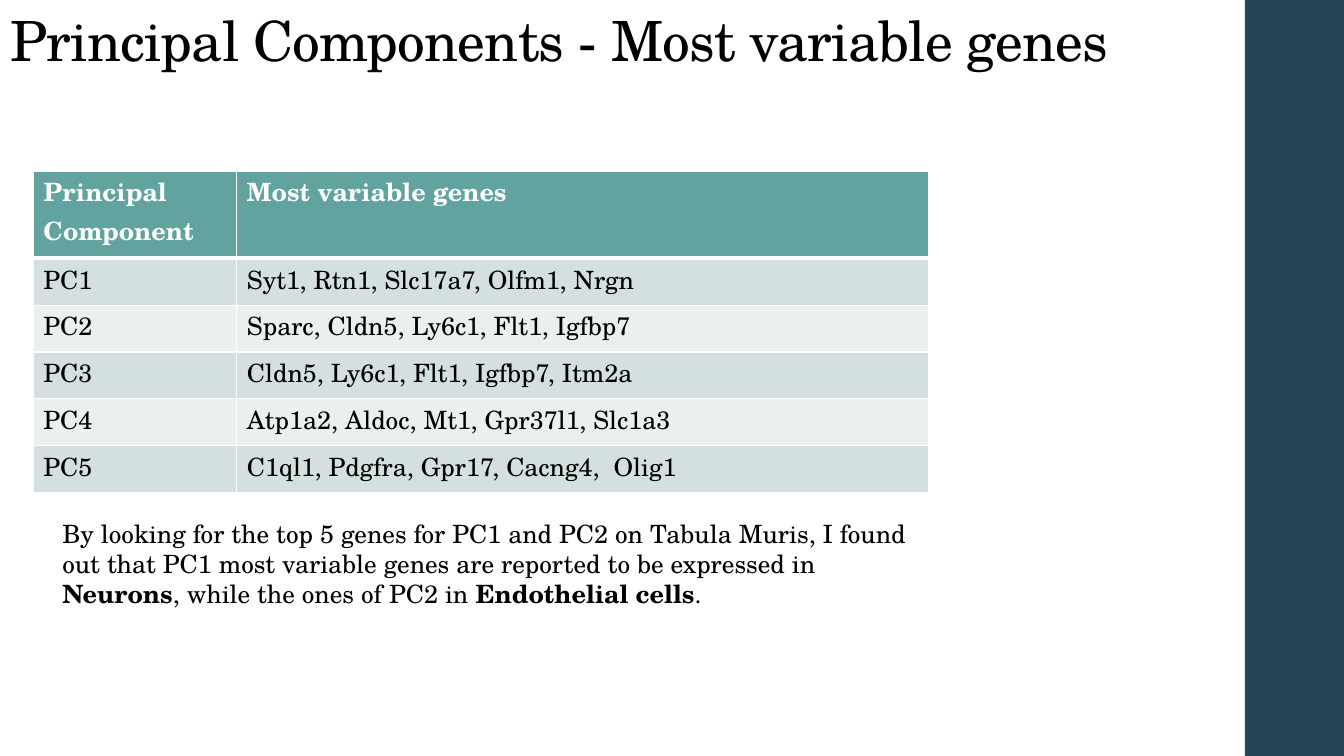
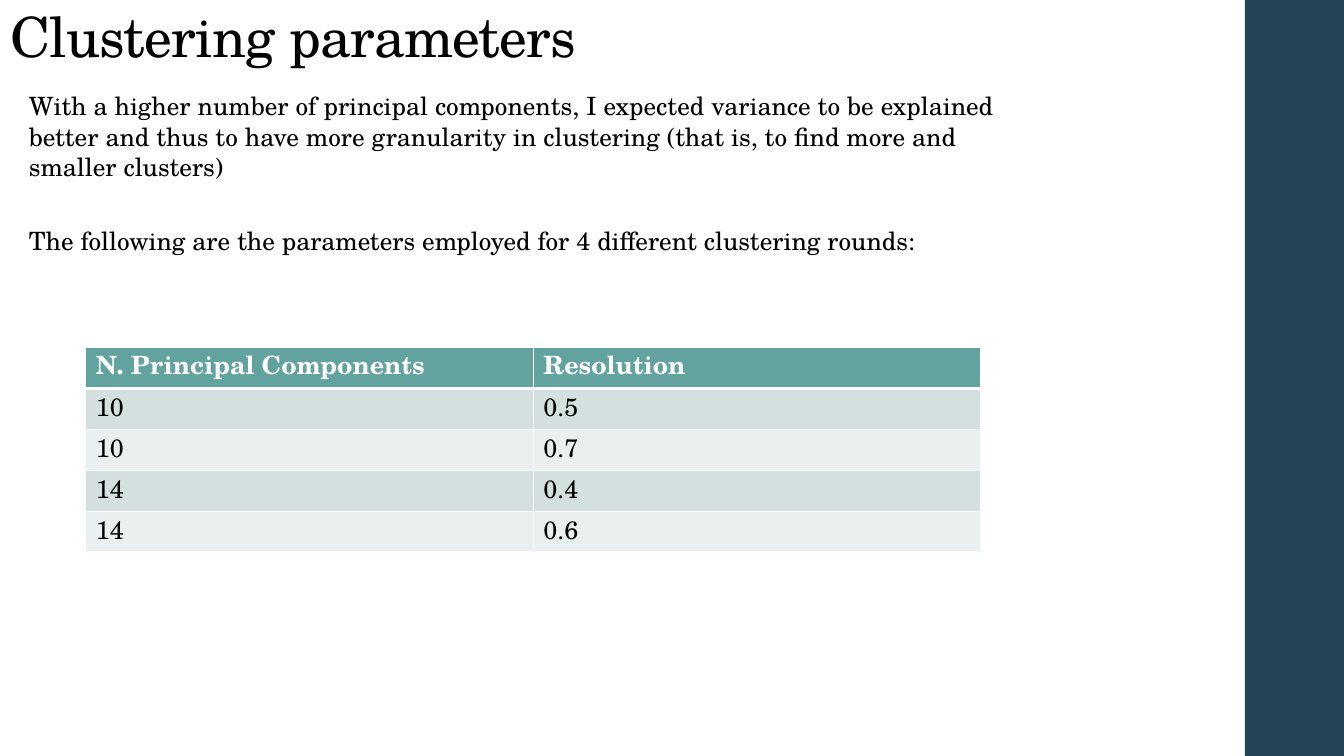
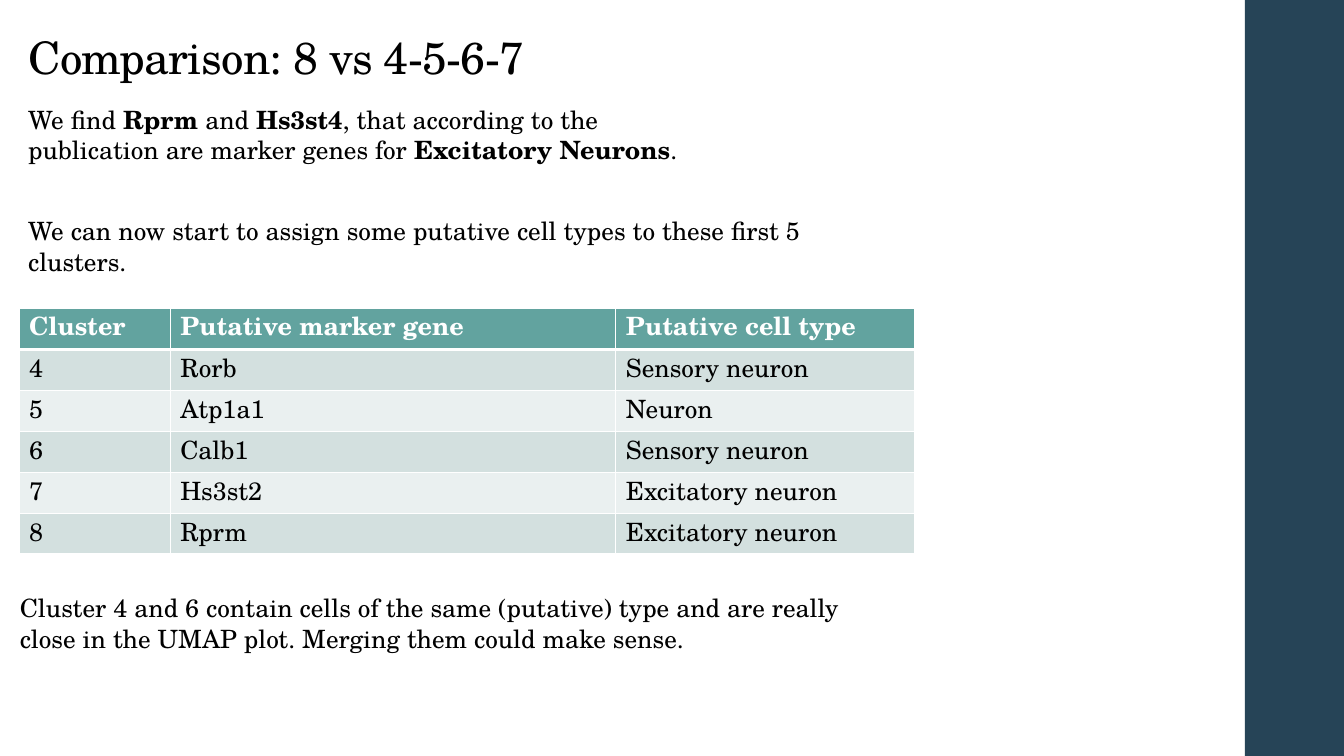
import pptx
import pptx.dml.color
import pptx.enum.shapes
import pptx.enum.text
import pptx.oxml
import pptx.oxml.ns
import pptx.util
from pptx.util import Cm, Pt

FONT = "TeX Gyre Schola"
BLACK, WHITE, NAVY, TEAL = "000000", "FFFFFF", "264457", "62A39F"
ROW_TINTS = ["EAF0F0", "D3E0DF"]


def paint(fill, color):
    fill.solid()
    fill.fore_color.rgb = pptx.dml.color.RGBColor.from_string(color)


def write(frame, text, size=18, color=BLACK, bold=False, line=None, tracking=0):
    """Fill a text frame; parts between ** marks are bold."""
    frame.word_wrap = True
    paragraph = frame.paragraphs[0]
    paragraph.alignment = pptx.enum.text.PP_ALIGN.LEFT
    paragraph.line_spacing = line
    for index, part in enumerate(text.split("**")):
        if not part:
            continue
        run = paragraph.add_run()
        run.text = part
        run.font.name = FONT
        run.font.size = Pt(size)
        run.font.bold = bold or index % 2 == 1
        paint(run.font.fill, color)
        if tracking:
            run.font._element.set("spc", str(int(tracking * 100)))


# Places are left, top, width, height in centimetres
pages = [
    {
        "title": "Principal Components - Most variable genes",
        "title_at": (0, 0.1, 29.39, 1.88), "title_size": 39.6,
        "texts": [
            ((1.32, 12.93, 22.1, 2.57),
             "By looking for the top 5 genes for PC1 and PC2 on Tabula Muris, I found out that "
             "PC1 most variable genes are reported to be expressed in **Neurons**, while the "
             "ones of PC2 in **Endothelial cells**."),
        ],
        "table_at": (0.84, 4.32), "columns": [5.13, 17.42],
        "header_height": 2.19, "row_height": 1.18, "cell_line": 28,
        "rows": [
            ("Principal Component", "Most variable genes"),
            ("PC1", "Syt1, Rtn1, Slc17a7, Olfm1, Nrgn"),
            ("PC2", "Sparc, Cldn5, Ly6c1, Flt1, Igfbp7"),
            ("PC3", "Cldn5, Ly6c1, Flt1, Igfbp7, Itm2a"),
            ("PC4", "Atp1a2, Aldoc, Mt1, Gpr37l1, Slc1a3"),
            ("PC5", "C1ql1, Pdgfra, Gpr17, Cacng4,  Olig1"),
        ],
    },
    {
        "title": "Clustering parameters",
        "title_at": (0, 0.08, 17.09, 1.8), "title_size": 39.6,
        "texts": [
            ((0.48, 2.16, 24.87, 2.57),
             "With a higher number of principal components, I expected variance to be explained "
             "better and thus to have more granularity in clustering (that is, to find more and "
             "smaller clusters)"),
            ((0.48, 5.56, 24.87, 1.02),
             "The following are the parameters employed for 4 different clustering rounds:"),
        ],
        "table_at": (2.16, 8.76), "columns": [11.28, 11.28],
        "header_height": 1.03, "row_height": 1.03, "cell_line": 26,
        "rows": [
            ("N. Principal Components", "Resolution"),
            ("10", "0.5"),
            ("10", "0.7"),
            ("14", "0.4"),
            ("14", "0.6"),
        ],
    },
    {
        "title": "Comparison: 8 vs 4-5-6-7",
        "title_at": (0.46, 0.41, 14.73, 1.83), "title_size": 32,
        "texts": [
            ((0.46, 2.51, 17.17, 1.8),
             "We find **Rprm** and **Hs3st4**, that according to the publication are marker "
             "genes for **Excitatory Neurons**."),
            ((0.46, 5.31, 22.38, 1.8),
             "We can now start to assign some putative cell types to these first 5 clusters."),
            ((0.25, 14.81, 22.58, 1.8),
             "Cluster 4 and 6 contain cells of the same (putative) type and are really close in "
             "the UMAP plot. Merging them could make sense."),
        ],
        "table_at": (0.48, 7.78), "columns": [3.81, 11.23, 7.52],
        "header_height": 1.03, "row_height": 1.03, "cell_line": 26,
        "rows": [
            ("Cluster", "Putative marker gene", "Putative cell type"),
            ("4", "Rorb", "Sensory neuron"),
            ("5", "Atp1a1", "Neuron"),
            ("6", "Calb1", "Sensory neuron"),
            ("7", "Hs3st2", "Excitatory neuron"),
            ("8", "Rprm", "Excitatory neuron"),
        ],
    },
]

deck = pptx.Presentation()
deck.slide_width, deck.slide_height = Cm(33.87), Cm(19.05)
layout = deck.slide_layouts[5]

for number, page in enumerate(pages):
    slide = deck.slides.add_slide(layout)

    if number == 0:
        # The side band is drawn once and moved to the shared layout
        band = slide.shapes.add_shape(pptx.enum.shapes.MSO_SHAPE.RECTANGLE,
                                      Cm(31.37), 0, Cm(2.5), deck.slide_height)
        band.shadow.inherit = False
        paint(band.fill, NAVY)
        band.line.fill.background()
        layout.shapes.element.append(band.element)

    title = slide.shapes.title
    title.left, title.top, title.width, title.height = map(Cm, page["title_at"])
    title.text_frame.vertical_anchor = pptx.enum.text.MSO_ANCHOR.BOTTOM
    title.text_frame.auto_size = pptx.enum.text.MSO_AUTO_SIZE.NONE
    write(title.text_frame, page["title"], size=page["title_size"], line=0.9, tracking=-0.5)

    for place, text in page["texts"]:
        note = slide.shapes.add_textbox(*map(Cm, place))
        write(note.text_frame, text)

    rows, columns = page["rows"], page["columns"]
    heights = [page["header_height"]] + [page["row_height"]] * (len(rows) - 1)
    left, top = page["table_at"]
    table = slide.shapes.add_table(len(rows), len(columns), Cm(left), Cm(top),
                                   Cm(sum(columns)), Cm(sum(heights))).table
    for column, width in zip(table.columns, columns):
        column.width = Cm(width)
    for r, (row, height) in enumerate(zip(rows, heights)):
        table.rows[r].height = Cm(height)
        for c, text in enumerate(row):
            cell = table.cell(r, c)
            cell.margin_top = cell.margin_bottom = 0
            write(cell.text_frame, text, color=BLACK if r else WHITE, bold=r == 0,
                  line=Pt(page["cell_line"]))
            paint(cell.fill, ROW_TINTS[r % 2] if r else TEAL)
            thick_side = {0: "B", 1: "T"}.get(r)
            for position, side in enumerate("LRTB"):
                border = pptx.oxml.parse_xml(
                    f'<a:ln{side} {pptx.oxml.ns.nsdecls("a")} '
                    f'w="{Pt(3 if side == thick_side else 1)}"><a:solidFill>'
                    f'<a:srgbClr val="{WHITE}"/></a:solidFill></a:ln{side}>')
                cell._tc.get_or_add_tcPr().insert(position, border)

deck.save("out.pptx")
